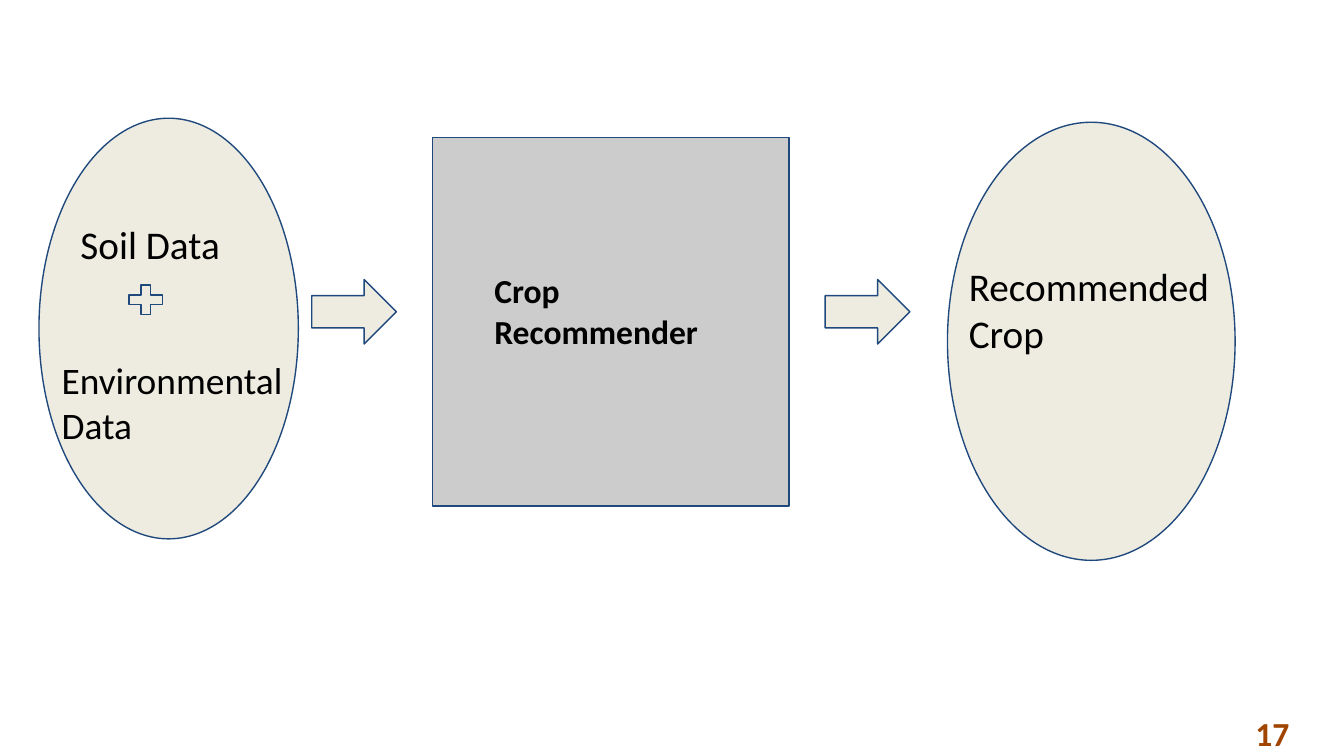
from pptx import Presentation
from pptx.dml.color import RGBColor
from pptx.enum.shapes import MSO_SHAPE
from pptx.enum.text import MSO_ANCHOR, PP_ALIGN
from pptx.util import Inches, Pt

COLUMNS = 100
ROWS = COLUMNS * 9 / 16
CELL = Inches(0.1)
FONT = "Calibri"
BLACK = RGBColor(0x00, 0x00, 0x00)
CREAM = RGBColor(0xEE, 0xEC, 0xE1)
GRAY = RGBColor(0xCC, 0xCC, 0xCC)
NAVY = RGBColor(0x1F, 0x49, 0x7D)
RUST = RGBColor(0xA0, 0x44, 0x00)

ARROW_COLUMNS = (23.2, 61.4)
ARROW_ROW = 20.8


def cells(*counts):
    return [round(count * CELL) for count in counts]


def add_block(slide, kind, column, row, width, height, fill=CREAM):
    shape = slide.shapes.add_shape(kind, *cells(column, row, width, height))
    shape.shadow.inherit = False
    shape.fill.solid()
    shape.fill.fore_color.rgb = fill
    shape.line.color.rgb = NAVY
    shape.line.width = Pt(0.75)
    return shape


def add_label(slide, text, column, row, width, height, size,
              color=BLACK, bold=False, inset=1):
    box = slide.shapes.add_textbox(*cells(column, row, width, height))
    frame = box.text_frame
    frame.word_wrap = True
    frame.vertical_anchor = MSO_ANCHOR.TOP
    frame.margin_left, frame.margin_top, frame.margin_right, frame.margin_bottom = cells(*[inset] * 4)
    frame.text = text
    paragraph = frame.paragraphs[0]
    paragraph.alignment = PP_ALIGN.LEFT
    font = paragraph.runs[0].font
    font.name = FONT
    font.size = Pt(size)
    font.bold = bold
    font.color.rgb = color
    return box


def add_page_number(slide, number):
    box = add_label(slide, str(number), 93, 53, 3.4, 3, 18, RUST, True, inset=0)
    box.text_frame.margin_left = Inches(0.04)
    box.text_frame.paragraphs[0].line_spacing = 1.01


def add_recommender(slide):
    add_block(slide, MSO_SHAPE.RECTANGLE, 32.2, 10.25, 26.5, 27.4, GRAY)
    add_label(slide, "Crop Recommender", 35.8, 19.1, 19.3, 8.2, 18, bold=True)


def add_inputs(slide):
    add_block(slide, MSO_SHAPE.OVAL, 2.9, 8.8, 19.3, 31.3)
    add_label(slide, "Soil Data", 5, 15.4, 13.5, 9.3, 21)
    plus = add_block(slide, MSO_SHAPE.MATH_PLUS, 9.15, ARROW_ROW, 3.4, 3)
    plus.adjustments[0] = 0.235
    add_label(slide, "Environmental Data", 3.6, 25.6, 19.3, 8.8, 20)


def add_result(slide):
    add_block(slide, MSO_SHAPE.OVAL, 70.5, 9.1, 21.4, 32.6)
    add_label(slide, "Recommended Crop", 71.1, 18.5, 23.2, 10.8, 21)


def main():
    presentation = Presentation()
    presentation.slide_width, presentation.slide_height = cells(COLUMNS, ROWS)
    slide = presentation.slides.add_slide(presentation.slide_layouts[6])
    add_page_number(slide, 17)
    add_recommender(slide)
    for column in ARROW_COLUMNS:
        add_block(slide, MSO_SHAPE.RIGHT_ARROW, column, ARROW_ROW, 6.3, 4.8)
    add_inputs(slide)
    add_result(slide)
    presentation.save("out.pptx")


if __name__ == "__main__":
    main()
